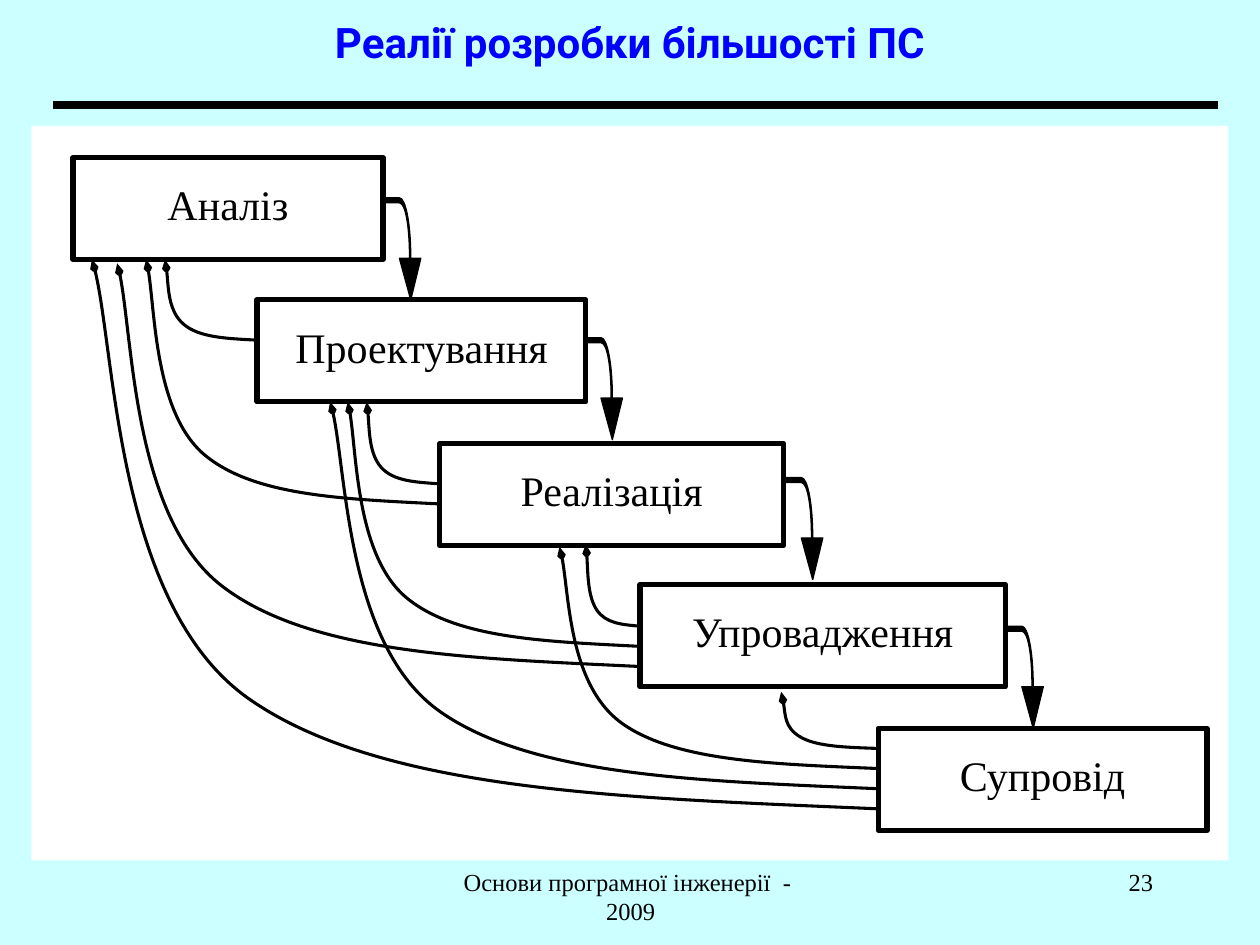
from lxml.etree import SubElement
from pptx import Presentation
from pptx.dml.color import RGBColor
from pptx.enum.shapes import MSO_CONNECTOR, MSO_SHAPE
from pptx.enum.text import MSO_ANCHOR, PP_ALIGN
from pptx.oxml.ns import qn
from pptx.util import Inches, Pt

BLACK = RGBColor(0, 0, 0)
WHITE = RGBColor(255, 255, 255)
BLUE = RGBColor(0, 0, 255)
PALE_CYAN = RGBColor(0xCC, 0xFF, 0xFF)
SERIF = "Times New Roman"

TITLE = "Реалії розробки більшості ПС"
FOOTER = "Основи програмної інженерії  -  2009"
PAGE_NUMBER = "23"

# Phase name, left, top, width
PHASES = [
    ("Аналіз", 0.58, 1.25, 2.46),
    ("Проектування", 2.04, 2.38, 2.61),
    ("Реалізація", 3.49, 3.52, 2.73),
    ("Упровадження", 5.08, 4.64, 2.9),
    ("Супровід", 6.97, 5.78, 2.61),
]
PHASE_HEIGHT = 0.81

# Where each arrow to the next phase leaves its box
STEP_STARTS = [(3.05, 1.57), (4.65, 2.68), (6.24, 3.79), (7.99, 4.97)]
# Outline of a step arrow: one point is a line, three points are a Bézier curve
STEP_OUTLINE = [
    [(0, 0)],
    [(0.12, 0)],
    [(0.17, 0), (0.21, 0.21), (0.21, 0.47)],
    [(0.21, 0.48)],
    [(0.29, 0.48)],
    [(0.21, 0.81)],
    [(0.12, 0.48)],
    [(0.2, 0.48)],
    [(0.2, 0.47)],
    [(0.2, 0.24), (0.17, 0.04), (0.12, 0.04)],
    [(0, 0.04)],
]

# Returns to earlier phases: start x, start y, end x, end y
RETURNS = [
    (2.04, 2.7, 1.31, 2.06),
    (3.49, 4, 1.16, 2.06),
    (5.08, 5.13, 2.76, 3.19),
    (6.97, 6.1, 4.44, 4.34),
    (3.49, 3.84, 2.91, 3.19),
    (5.08, 4.97, 4.65, 4.32),
    (6.97, 5.94, 6.2, 5.49),
    (5.08, 5.29, 0.93, 2.09),
    (6.97, 6.26, 2.62, 3.19),
    (6.97, 6.42, 0.73, 2.06),
]
# Return curve as shares of its width and height, measured from its end
RETURN_CURVE = [
    [(1, 1)],
    [(0.68, 0.98), (0.37, 0.97), (0.2, 0.8)],
    [(0.03, 0.63), (0.03, 0.13), (0, 0)],
]


def style(shape, fill, line_width):
    shape.shadow.inherit = False
    if fill is None:
        shape.fill.background()
    else:
        shape.fill.solid()
        shape.fill.fore_color.rgb = fill
    if line_width:
        shape.line.color.rgb = BLACK
        shape.line.width = Pt(line_width)
    else:
        shape.line.fill.background()


def write(shape, text, size, font=SERIF, color=BLACK, align=PP_ALIGN.CENTER):
    shape.text_frame.word_wrap = True
    paragraph = shape.text_frame.paragraphs[0]
    paragraph.text = text
    paragraph.alignment = align
    paragraph.font.size = Pt(size)
    paragraph.font.name = font
    paragraph.font.color.rgb = color
    return paragraph


def add_text(shapes, box, *args, **kwargs):
    textbox = shapes.add_textbox(*map(Inches, box))
    return textbox, write(textbox, *args, **kwargs)


def add_outline(shapes, segments, origin, scale=(1, 1), close=False):
    """Build a freeform, turning its three-point segments into Bézier curves."""
    placed = [
        [tuple(Inches(o + p * s) for o, p, s in zip(origin, point, scale)) for point in segment]
        for segment in segments
    ]
    anchors = [segment[-1] for segment in placed]
    left, top = (min(values) for values in zip(*anchors))
    builder = shapes.build_freeform(*anchors[0])
    builder.add_line_segments(anchors[1:], close=close)
    outline = builder.convert_to_shape()
    lines = list(outline.element.iter(qn("a:lnTo")))
    for line, segment in zip(lines, placed[1:]):
        if len(segment) == 3:
            line.tag = qn("a:cubicBezTo")
            line.remove(line[0])
            for x, y in segment:
                SubElement(line, qn("a:pt"), x=str(x - left), y=str(y - top))
    return outline


def main():
    presentation = Presentation()
    presentation.slide_width, presentation.slide_height = Inches(10), Inches(7.5)
    slide = presentation.slides.add_slide(presentation.slide_layouts[6])
    slide.background.fill.solid()
    slide.background.fill.fore_color.rgb = PALE_CYAN
    shapes = slide.shapes

    panel = shapes.add_shape(MSO_SHAPE.RECTANGLE, *map(Inches, (0.25, 1, 9.5, 5.83)))
    style(panel, WHITE, 0)

    title, heading = add_text(shapes, (0.75, 0, 8.5, 0.67), TITLE, 24, "Roboto", BLUE)
    title.text_frame.vertical_anchor = MSO_ANCHOR.MIDDLE
    heading.font.bold = True

    rule = shapes.add_connector(MSO_CONNECTOR.STRAIGHT, *map(Inches, (0.42, 0.83, 9.67, 0.83)))
    rule.line.color.rgb = BLACK
    rule.line.width = Pt(4.5)
    SubElement(rule.element.spPr, qn("a:effectLst"))

    diagram = shapes.add_group_shape().shapes
    for name, left, top, width in PHASES:
        phase = diagram.add_shape(
            MSO_SHAPE.RECTANGLE, *map(Inches, (left, top, width, PHASE_HEIGHT)))
        style(phase, WHITE, 3)
        phase.text_frame.margin_left = phase.text_frame.margin_right = 0
        phase.text_frame.vertical_anchor = MSO_ANCHOR.TOP
        write(phase, name, 24).line_spacing = 1.3

    for start in STEP_STARTS:
        style(add_outline(diagram, STEP_OUTLINE, start, close=True), BLACK, 0.75)

    for start_x, start_y, end_x, end_y in RETURNS:
        size = (start_x - end_x, start_y - end_y)
        curve = add_outline(diagram, RETURN_CURVE, (end_x, end_y), size)
        style(curve, None, 1.75)
        SubElement(curve.line._get_or_add_ln(), qn("a:tailEnd"), type="arrow", w="sm", len="med")

    add_text(shapes, (3.42, 6.83, 3.17, 0.5), FOOTER, 14)
    add_text(shapes, (7.17, 6.83, 2.08, 0.5), PAGE_NUMBER, 14, align=PP_ALIGN.RIGHT)
    presentation.save("out.pptx")


if __name__ == "__main__":
    main()
